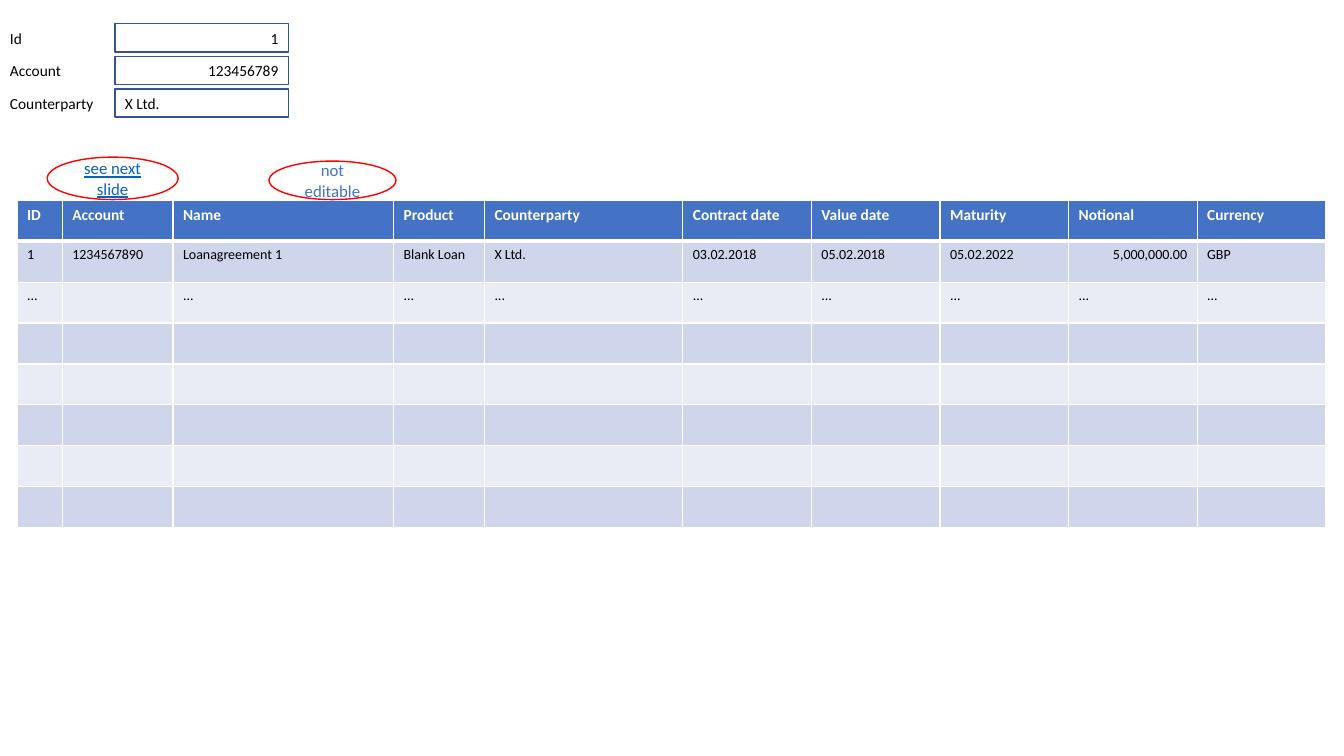
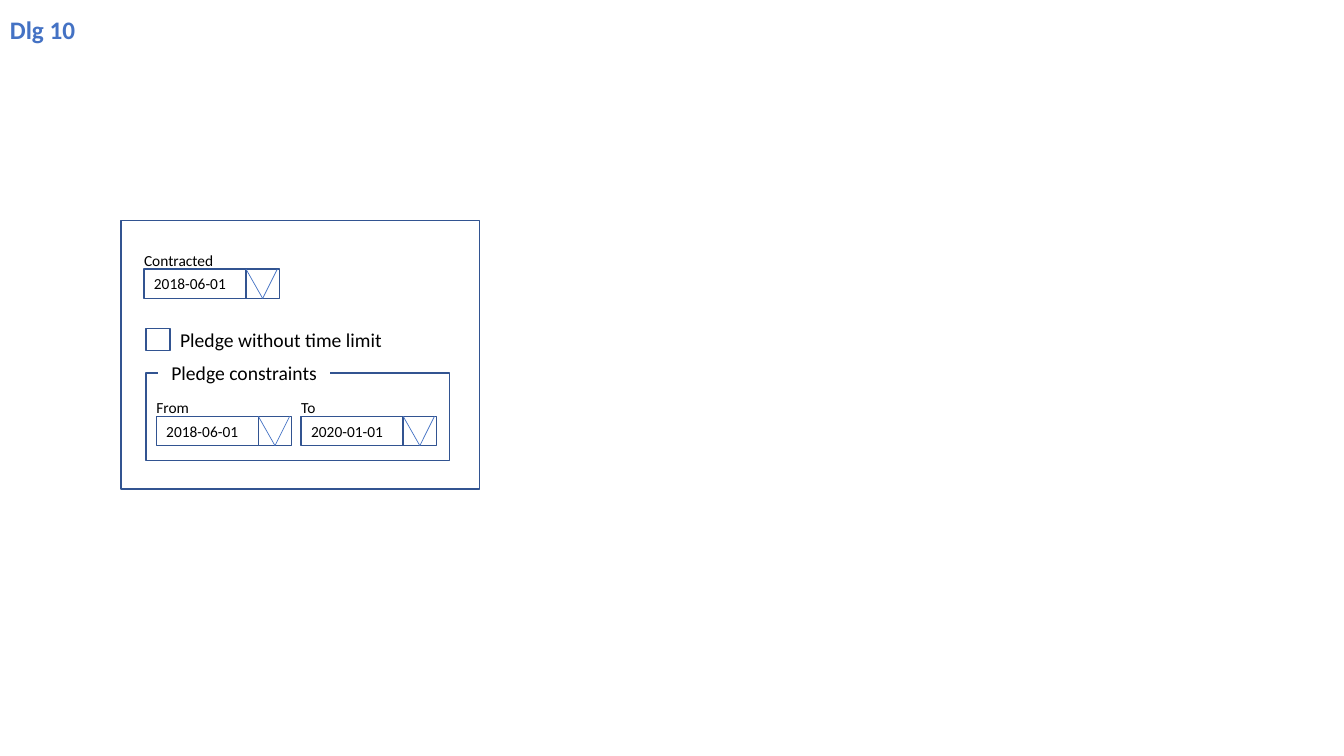
from lxml.etree import SubElement
from pptx import Presentation
from pptx.dml.color import RGBColor
from pptx.enum.shapes import MSO_CONNECTOR, MSO_SHAPE
from pptx.enum.text import MSO_ANCHOR, PP_ALIGN
from pptx.oxml.ns import qn
from pptx.util import Cm, Pt

FONT = "Calibri"
WHITE = RGBColor(0xFF, 0xFF, 0xFF)
BLACK = RGBColor(0x00, 0x00, 0x00)
RED = RGBColor(0xFF, 0x00, 0x00)
BLUE = RGBColor(0x44, 0x72, 0xC4)
OUTLINE = RGBColor(0x32, 0x54, 0x91)
LINK_BLUE = RGBColor(0x05, 0x63, 0xC1)
BAND_DARK = RGBColor(0xCF, 0xD5, 0xEA)
BAND_LIGHT = RGBColor(0xE9, 0xEB, 0xF5)


def write(frame, text, size=11, color=BLACK, bold=False, underline=False,
          align=PP_ALIGN.LEFT, anchor=MSO_ANCHOR.TOP, wrap=True):
    frame.word_wrap = wrap
    frame.vertical_anchor = anchor
    paragraph = frame.paragraphs[0]
    paragraph.alignment = align
    run = paragraph.add_run()
    run.text = text
    run.font.name = FONT
    run.font.size = Pt(size)
    run.font.bold = bold
    run.font.underline = underline
    run.font.color.rgb = color


def add_box(slide, left, top, width, height, text="", line=OUTLINE,
            kind=MSO_SHAPE.RECTANGLE, **text_format):
    shape = slide.shapes.add_shape(kind, Cm(left), Cm(top), Cm(width), Cm(height))
    shape.shadow.inherit = False
    shape.fill.solid()
    shape.fill.fore_color.rgb = WHITE
    shape.line.color.rgb = line
    shape.line.width = Pt(1)
    if text:
        write(shape.text_frame, text, anchor=MSO_ANCHOR.MIDDLE, **text_format)


presentation = Presentation()
presentation.slide_width, presentation.slide_height = Cm(33.87), Cm(19.05)
blank = presentation.slide_layouts[6]

# Slide 1: loan list
slide = presentation.slides.add_slide(blank)

# Table
COLUMN_WIDTHS = [1.14, 2.79, 5.56, 2.29, 5] + [3.24] * 5
ROW_COUNT, ROW_HEIGHT = 8, 1.03
ROWS = [
    ["ID", "Account", "Name", "Product", "Counterparty", "Contract date",
     "Value date", "Maturity", "Notional", "Currency"],
    ["1", "1234567890", "Loanagreement 1", "Blank Loan", "X Ltd.", "03.02.2018",
     "05.02.2018", "05.02.2022", "5,000,000.00", "GBP"],
    ["...", ""] + ["..."] * 8,
]
table = slide.shapes.add_table(
    ROW_COUNT, len(COLUMN_WIDTHS), Cm(0.43), Cm(5.05),
    Cm(sum(COLUMN_WIDTHS)), Cm(ROW_COUNT * ROW_HEIGHT)).table
for column, width in zip(table.columns, COLUMN_WIDTHS):
    column.width = Cm(width)
for row_index, row in enumerate(table.rows):
    row.height = Cm(ROW_HEIGHT)
    is_header = row_index == 0
    band = BLUE if is_header else BAND_DARK if row_index % 2 else BAND_LIGHT
    border_widths = {"a:lnL": 1, "a:lnR": 1,
                     "a:lnT": 3 if row_index == 1 else 1,
                     "a:lnB": 3 if is_header else 1}
    for column_index, cell in enumerate(row.cells):
        properties = cell._tc.get_or_add_tcPr()
        for tag, points in border_widths.items():
            border = SubElement(properties, qn(tag), w=str(Pt(points)))
            fill = SubElement(border, qn("a:solidFill"))
            SubElement(fill, qn("a:srgbClr"), val=str(WHITE))
        cell.fill.solid()
        cell.fill.fore_color.rgb = band
        text = ROWS[row_index][column_index] if row_index < len(ROWS) else ""
        if text:
            is_amount = text == "5,000,000.00"
            write(cell.text_frame, text, size=11 if is_header else 10,
                  color=WHITE if is_header else BLACK, bold=is_header,
                  align=PP_ALIGN.RIGHT if is_amount else PP_ALIGN.LEFT)

# Remarks above the table
add_box(slide, 1.19, 3.96, 3.3, 1.07, "see next slide", line=RED, kind=MSO_SHAPE.OVAL,
        size=12, color=LINK_BLUE, underline=True, align=PP_ALIGN.CENTER)
add_box(slide, 6.78, 4.06, 3.2, 0.97, "not editable", line=RED, kind=MSO_SHAPE.OVAL,
        size=12, color=BLUE, align=PP_ALIGN.CENTER)

# Search fields
SEARCH_FIELDS = [
    ("Id", "1", PP_ALIGN.RIGHT),
    ("Account", "123456789", PP_ALIGN.RIGHT),
    ("Counterparty", "X Ltd.", PP_ALIGN.LEFT),
]
for index, (label, value, align) in enumerate(SEARCH_FIELDS):
    top = 0.6 + index * 0.82
    add_box(slide, 2.9, top, 4.37, 0.71, value, align=align)
    label_box = slide.shapes.add_textbox(0, Cm(top), Cm(4.55), Cm(0.74))
    write(label_box.text_frame, label)

# Slide 2: pledge dialog
slide = presentation.slides.add_slide(blank)
title = slide.shapes.add_textbox(0, Cm(0.23), Cm(2.18), Cm(1.02))
write(title.text_frame, "Dlg 10", size=18, color=BLUE, bold=True, wrap=False)

# Dialog panel
add_box(slide, 3.05, 5.56, 9.04, 6.76)

# Check box
add_box(slide, 3.68, 8.28, 0.61, 0.56)
check_label = slide.shapes.add_textbox(Cm(4.29), Cm(8.15), Cm(5.77), Cm(0.86))
write(check_label.text_frame, "Pledge without time limit", size=14, wrap=False)

# Constraints frame with its caption
add_box(slide, 3.68, 9.4, 7.65, 2.21)
add_box(slide, 4.01, 9.19, 4.29, 0.38, "Pledge constraints", line=WHITE,
        size=14, align=PP_ALIGN.CENTER)

# Date pickers
DATE_WIDTH, BUTTON_WIDTH, PICKER_HEIGHT = 2.57, 0.84, 0.74
DATE_PICKERS = [
    ("Contracted", "2018-06-01", 3.63, 6.78, 2.29),
    ("From", "2018-06-01", 3.94, 10.49, 1.35),
    ("To", "2020-01-01", 7.59, 10.49, 0.91),
]
for label, date, left, top, label_width in DATE_PICKERS:
    button_left = left + DATE_WIDTH
    add_box(slide, left, top, DATE_WIDTH, PICKER_HEIGHT, date)
    add_box(slide, button_left, top, BUTTON_WIDTH, PICKER_HEIGHT)
    for arm_left in (button_left, button_left + 0.79):
        arm = slide.shapes.add_connector(
            MSO_CONNECTOR.STRAIGHT, Cm(arm_left), Cm(top),
            Cm(button_left + BUTTON_WIDTH / 2), Cm(top + PICKER_HEIGHT))
        arm.line.color.rgb = BLUE
        arm.line.width = Pt(0.5)
        SubElement(arm._element.spPr, qn("a:effectLst"))
    label_box = slide.shapes.add_textbox(
        Cm(left - 0.25), Cm(top - 0.57), Cm(label_width), Cm(0.74))
    write(label_box.text_frame, label, wrap=False)

presentation.save("out.pptx")
